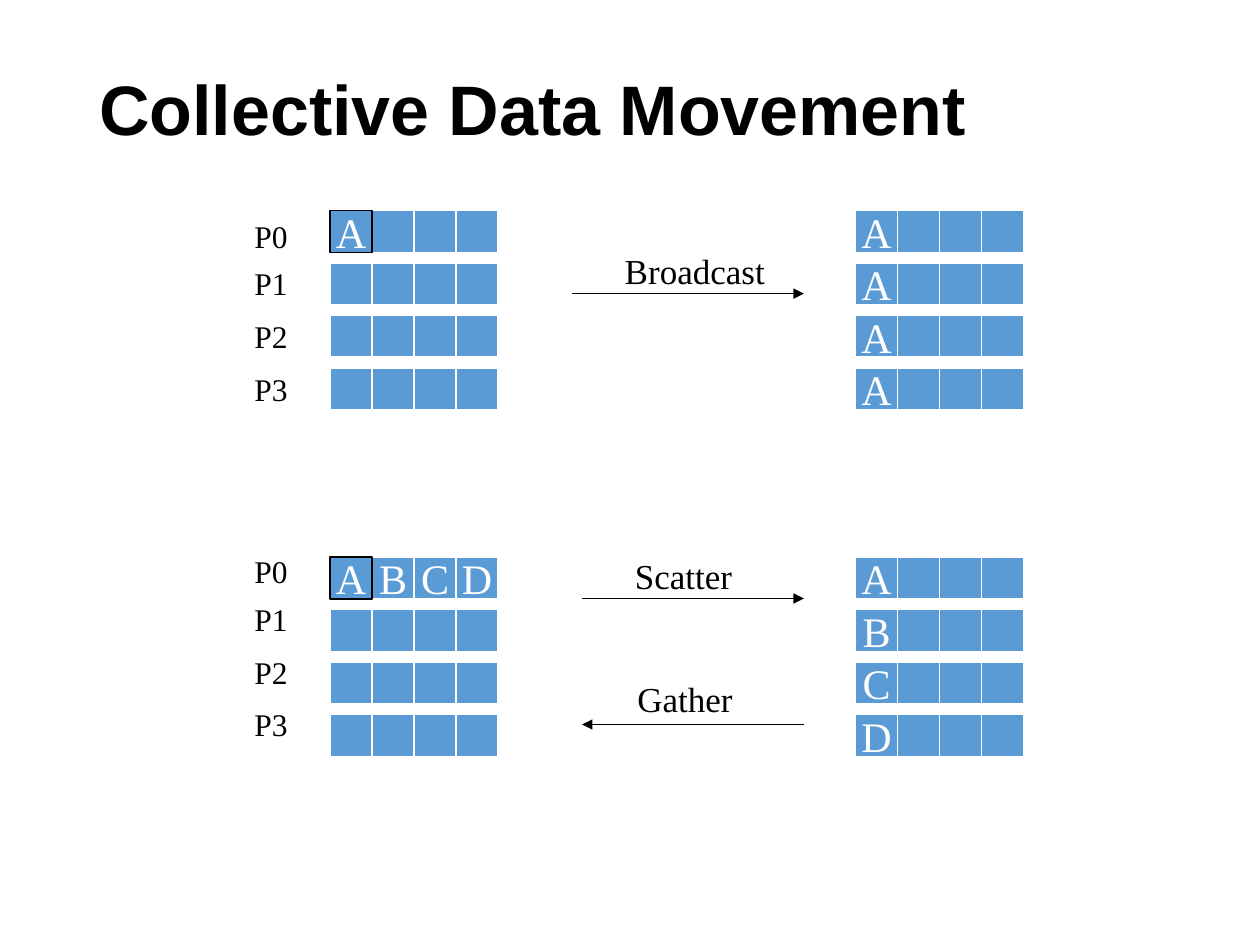
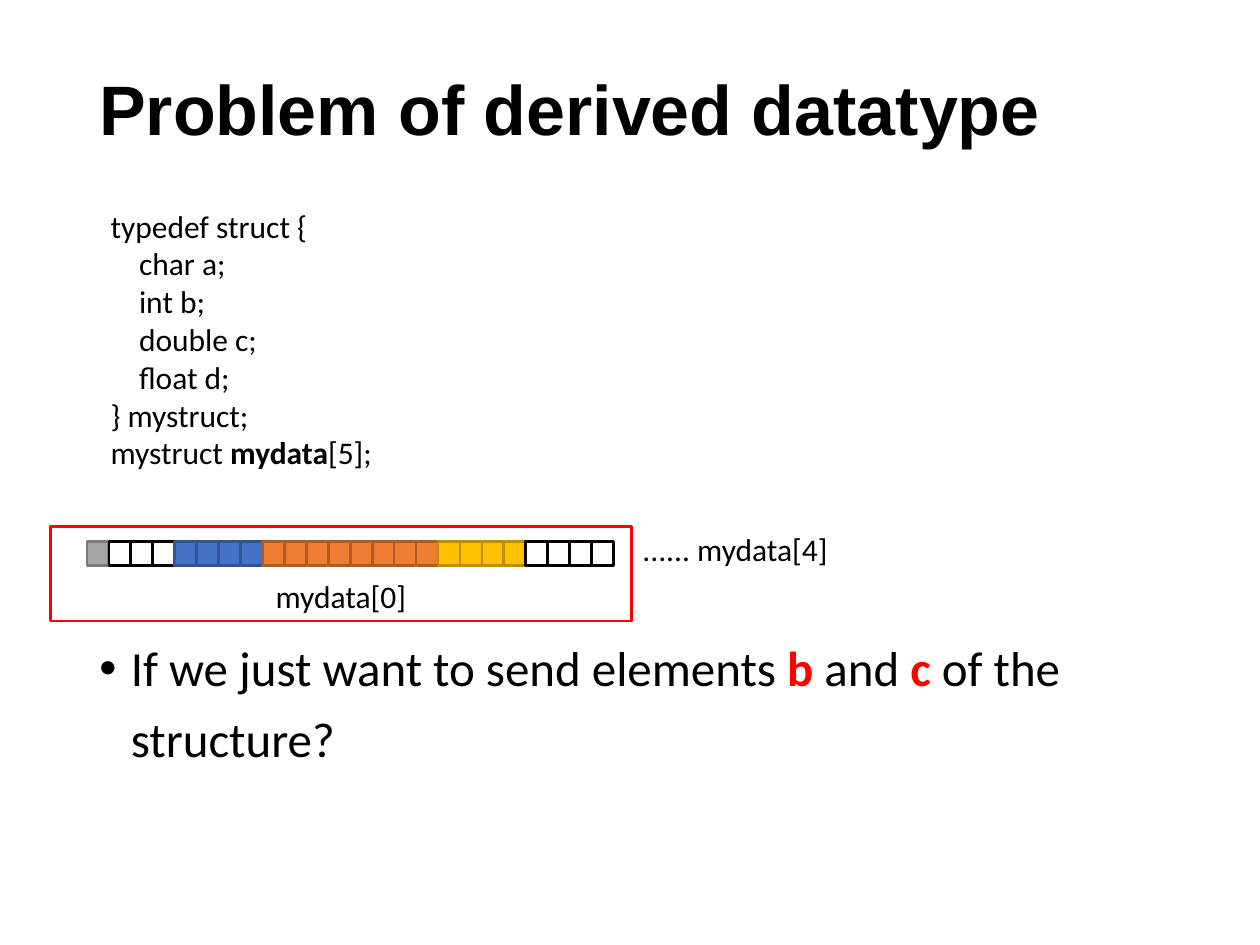
from lxml import etree
from pptx import Presentation
from pptx.dml.color import RGBColor
from pptx.enum.shapes import MSO_CONNECTOR, MSO_SHAPE
from pptx.enum.text import MSO_ANCHOR, MSO_AUTO_SIZE, PP_ALIGN
from pptx.oxml.ns import qn
from pptx.util import Inches, Pt

RECT = MSO_SHAPE.RECTANGLE
STRAIGHT = MSO_CONNECTOR.STRAIGHT
TOP, MIDDLE, BOTTOM = MSO_ANCHOR.TOP, MSO_ANCHOR.MIDDLE, MSO_ANCHOR.BOTTOM
LEFT, CENTER = PP_ALIGN.LEFT, PP_ALIGN.CENTER
FIT_SHAPE = MSO_AUTO_SIZE.SHAPE_TO_FIT_TEXT

BLACK, WHITE, RED, CELL_BLUE = "000000", "FFFFFF", "FF0000", "5B9BD5"

TITLE = {"name": "Arial", "size": 40, "bold": True, "color": BLACK}
LETTER = {"name": "Times New Roman", "size": 24, "color": WHITE}
PROCESS = {"name": "Times New Roman", "size": 18, "color": BLACK}
OPERATION = {"name": "Times New Roman", "size": 20, "color": BLACK}
CODE = {"name": "Calibri", "size": 18, "color": BLACK}
BODY = {"name": "Calibri", "size": 28, "color": BLACK}
BOLD = {"bold": True}
HIGHLIGHT = {"bold": True, "color": RED}

# Collective data movement: letters held by each process, before and after
PROCESSES = ["P0", "P1", "P2", "P3"]
MOVEMENTS = [
    {"grid_top": 1.67, "label_top": 1.67,
     "before": ["A", "", "", ""], "after": ["A", "A", "A", "A"]},
    {"grid_top": 4.42, "label_top": 4.33,
     "before": ["ABCD", "", "", ""], "after": ["A", "B", "C", "D"]},
]
LABEL_LEFT, BEFORE_LEFT, AFTER_LEFT = 1.92, 2.62, 6.79
LABEL_OFFSETS = [0, 0.38, 0.8, 1.22]
COLUMNS = 4
CELL = 1 / 3
ROW_PITCH = 5 / 12
# name, text box, arrow start x, arrow end x, arrow y
OPERATIONS = [
    ("Broadcast", (4.86, 1.93, 1.31, 0.43), 4.54, 6.38, 2.33),
    ("Scatter", (4.94, 4.35, 0.97, 0.43), 4.62, 6.38, 4.75),
    ("Gather", (4.96, 5.33, 0.96, 0.43), 6.38, 4.62, 5.75),
]

# Derived datatype
STRUCT_CODE = [
    [("typedef struct {", {})],
    [("    char a;", {})],
    [("    int b;", {})],
    [("    double c;", {})],
    [("    float d;", {})],
    [("} mystruct;", {})],
    [("mystruct ", {}), ("mydata", BOLD), ("[5];", {})],
]
QUESTION = [[
    ("If we just want to send elements ", {}), ("b", HIGHLIGHT), (" and ", {}),
    ("c", HIGHLIGHT), (" of the structure?", {}),
]]
# bytes, fill, outline of each member and its padding
MEMORY_LAYOUT = [
    (1, "A5A5A5", "7A7A7A"),
    (3, WHITE, BLACK),
    (4, "4472C4", "325491"),
    (8, "ED7D31", "AF5C24"),
    (4, "FFC000", "BD8E00"),
    (4, WHITE, BLACK),
]
STRIP_LEFT, STRIP_TOP, STRIP_WIDTH, STRIP_HEIGHT = 0.69, 4.3, 4.18, 0.19


def rgb(hex_color):
    return RGBColor.from_string(hex_color)


def apply_font(font, style):
    for attribute, value in style.items():
        if attribute == "color":
            font.color.rgb = rgb(value)
        else:
            setattr(font, attribute, Pt(value) if attribute == "size" else value)


def write(shape, paragraphs, style, anchor=TOP, align=LEFT, wrap=True,
          line_spacing=None):
    """Fill a shape with paragraphs, each a list of (text, style changes)."""
    frame = shape.text_frame
    frame.word_wrap = wrap
    frame.vertical_anchor = anchor
    for index, runs in enumerate(paragraphs):
        paragraph = frame.add_paragraph() if index else frame.paragraphs[0]
        paragraph.alignment = align
        if line_spacing:
            paragraph.line_spacing = line_spacing
        for text, changes in runs:
            run = paragraph.add_run()
            run.text = text
            apply_font(run.font, {**style, **changes})
    return frame


def add_text(slide, box, paragraphs, style, fit=False, **layout):
    text_box = slide.shapes.add_textbox(*map(Inches, box))
    frame = write(text_box, paragraphs, style, **layout)
    if fit:
        frame.auto_size = FIT_SHAPE
    return frame


def add_rect(slide, box, fill, outline, weight):
    rect = slide.shapes.add_shape(RECT, *map(Inches, box))
    rect.shadow.inherit = False
    if fill:
        rect.fill.solid()
        rect.fill.fore_color.rgb = rgb(fill)
    else:
        rect.fill.background()
    rect.line.color.rgb = rgb(outline)
    rect.line.width = Pt(weight)
    return rect


def add_arrow(slide, start_x, end_x, y):
    arrow = slide.shapes.add_connector(
        STRAIGHT, Inches(start_x), Inches(y), Inches(end_x), Inches(y))
    arrow.line.color.rgb = rgb(BLACK)
    arrow.line.width = Pt(1)
    etree.SubElement(arrow.line._get_or_add_ln(), qn("a:tailEnd"), type="triangle")
    etree.SubElement(arrow._element.spPr, qn("a:effectLst"))


def add_bullet(paragraph, indent):
    properties = paragraph._p.get_or_add_pPr()
    properties.set("marL", str(Inches(indent)))
    properties.set("indent", str(-Inches(indent)))
    etree.SubElement(properties, qn("a:buFont"), typeface="Arial")
    etree.SubElement(properties, qn("a:buChar"), char="•")


def add_titled_slide(prs, title):
    slide = prs.slides.add_slide(prs.slide_layouts[6])
    add_text(slide, (0.69, 0.17, 8.62, 1.45), [[(title, {})]], TITLE,
             anchor=MIDDLE, line_spacing=0.9)
    return slide


def add_cell(slide, left, top, letter, outline=WHITE):
    cell = add_rect(slide, (left, top, CELL, CELL), CELL_BLUE, outline, 1)
    if letter:
        write(cell, [[(letter, {})]], LETTER, MIDDLE, CENTER, wrap=False)


def add_grid(slide, left, top, rows):
    for row, letters in enumerate(rows):
        for column, letter in enumerate(letters.ljust(COLUMNS)):
            add_cell(slide, left + column * CELL, top + row * ROW_PITCH,
                     letter.strip())


def build_movement_slide(prs):
    slide = add_titled_slide(prs, "Collective Data Movement")
    for movement in MOVEMENTS:
        top, before = movement["grid_top"], movement["before"]
        # The root's first cell goes on last so its black outline stays whole
        add_grid(slide, AFTER_LEFT, top, movement["after"])
        add_grid(slide, BEFORE_LEFT, top, [" " + before[0][1:]] + before[1:])
        add_cell(slide, BEFORE_LEFT, top, before[0][0], BLACK)
        for process, offset in zip(PROCESSES, LABEL_OFFSETS):
            box = (LABEL_LEFT, movement["label_top"] + offset, 0.47, 0.4)
            add_text(slide, box, [[(process, {})]], PROCESS, fit=True, wrap=False)
    for operation, box, start_x, end_x, y in OPERATIONS:
        add_arrow(slide, start_x, end_x, y)
        add_text(slide, box, [[(operation, {})]], OPERATION, fit=True, wrap=False)


def build_datatype_slide(prs):
    slide = add_titled_slide(prs, "Problem of derived datatype")
    question = add_text(slide, (0.69, 4.92, 8.62, 1.35), QUESTION, BODY,
                        line_spacing=1.2)
    add_bullet(question.paragraphs[0], 0.25)
    add_text(slide, (0.78, 1.59, 2.27, 2.22), STRUCT_CODE, CODE, fit=True, wrap=False)
    add_text(slide, (5, 4.16, 1.79, 0.4), [[("...... mydata[4]", {})]], CODE, fit=True)

    first_element = add_rect(slide, (0.4, 4.18, 4.61, 0.75), None, RED, 1.5)
    write(first_element, [[("mydata[0]", {})]], CODE, BOTTOM, CENTER)

    byte_colors = [(fill, outline) for count, fill, outline in MEMORY_LAYOUT
                   for _ in range(count)]
    byte_width = STRIP_WIDTH / len(byte_colors)
    for index, (fill, outline) in enumerate(byte_colors):
        box = (STRIP_LEFT + index * byte_width, STRIP_TOP, byte_width, STRIP_HEIGHT)
        add_rect(slide, box, fill, outline, 1.5)


def main():
    prs = Presentation()
    prs.slide_width, prs.slide_height = Inches(10), Inches(7.5)
    build_movement_slide(prs)
    build_datatype_slide(prs)
    prs.save("out.pptx")


if __name__ == "__main__":
    main()
